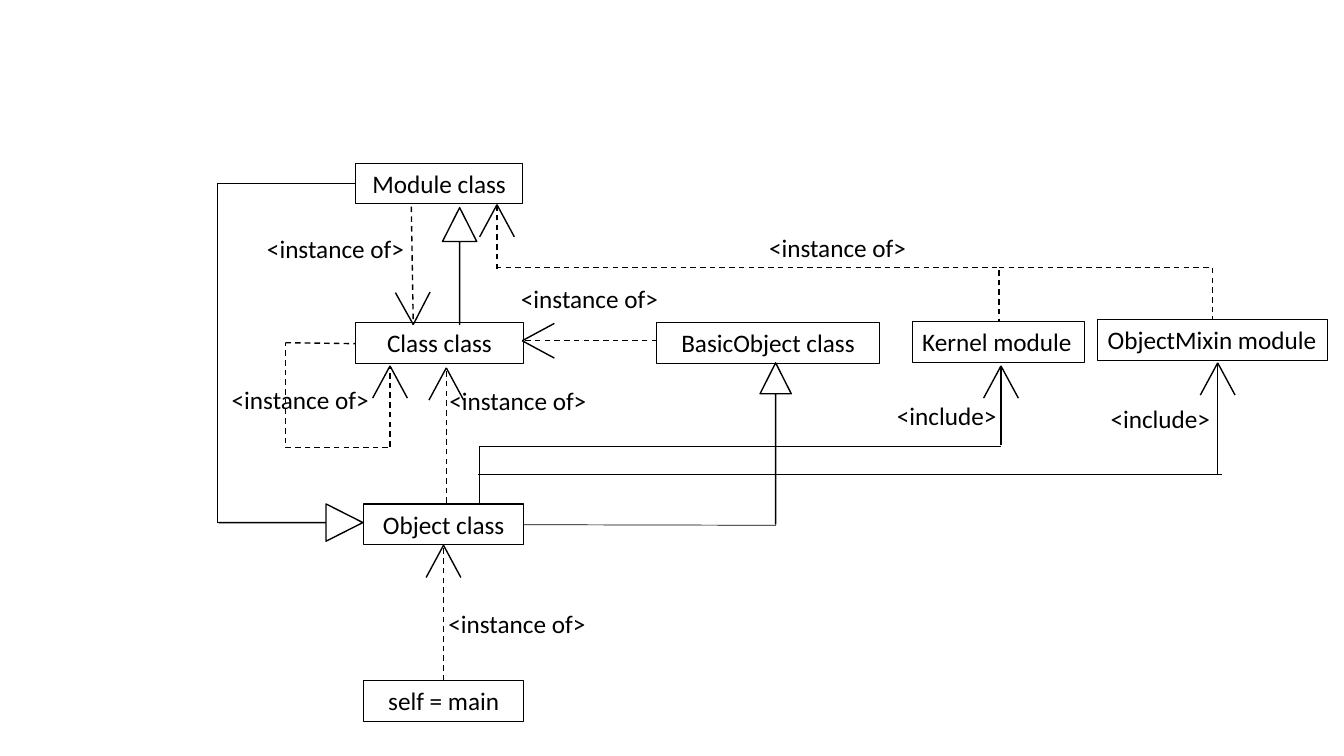
import math

import pptx
import pptx.dml.color
import pptx.enum.dml
import pptx.enum.shapes
import pptx.enum.text
import pptx.oxml.ns
import pptx.util
from lxml import etree

Pt = pptx.util.Pt
SHAPE = pptx.enum.shapes.MSO_SHAPE
CONNECTOR = pptx.enum.shapes.MSO_CONNECTOR
ALIGN = pptx.enum.text.PP_ALIGN
BLACK = pptx.dml.color.RGBColor(0, 0, 0)
WHITE = pptx.dml.color.RGBColor(255, 255, 255)

BOX_HEIGHT = 29.1
HEAD_LENGTH, HEAD_HALF_WIDTH = 23, 12.4


def write(shape, text, align, wrap):
    """Fill a shape with one 18 pt line of text."""
    frame = shape.text_frame
    frame.word_wrap = wrap
    frame.auto_size = pptx.enum.text.MSO_AUTO_SIZE.SHAPE_TO_FIT_TEXT
    frame.vertical_anchor = pptx.enum.text.MSO_ANCHOR.TOP
    paragraph = frame.paragraphs[0]
    paragraph.alignment = align
    run = paragraph.add_run()
    run.text = text
    run.font.name = "Calibri"
    run.font.size = Pt(18)
    run.font.color.rgb = BLACK


def outline(shape, width):
    shape.shadow.inherit = False
    shape.line.color.rgb = BLACK
    shape.line.width = Pt(width)


def class_box(slide, text, left, top, width, align=ALIGN.CENTER):
    box = slide.shapes.add_shape(
        SHAPE.RECTANGLE, Pt(left), Pt(top), Pt(width), Pt(BOX_HEIGHT))
    box.fill.background()
    outline(box, 0.75)
    write(box, text, align, True)


def label(slide, text, left, top, width):
    box = slide.shapes.add_textbox(Pt(left), Pt(top), Pt(width), Pt(BOX_HEIGHT))
    write(box, text, ALIGN.LEFT, False)


def inheritance(slide, left, top, width, height, rotation=0):
    """Hollow triangle on a shaft without thickness."""
    arrow = slide.shapes.add_shape(
        SHAPE.UP_ARROW, Pt(left), Pt(top), Pt(width), Pt(height))
    arrow.adjustments[0] = 0
    arrow.adjustments[1] = 0.99
    arrow.rotation = rotation
    arrow.fill.solid()
    arrow.fill.fore_color.rgb = WHITE
    outline(arrow, 1)


def line(slide, start, end, dashed=False, width=1, kind=CONNECTOR.STRAIGHT):
    connector = slide.shapes.add_connector(kind, *map(Pt, (*start, *end)))
    connector.line.color.rgb = BLACK
    connector.line.width = Pt(width)
    if dashed:
        connector.line.dash_style = pptx.enum.dml.MSO_LINE.DASH
    properties = connector._element.spPr
    etree.SubElement(properties, pptx.oxml.ns.qn("a:effectLst"))
    return connector


def corner(slide, start, end, dashed=False):
    """One bend: horizontal from start, then vertical to end."""
    connector = line(slide, start, end, dashed, kind=CONNECTOR.ELBOW)
    geometry = connector._element.spPr.find(pptx.oxml.ns.qn("a:prstGeom"))
    geometry.set("prst", "bentConnector2")


def open_arrow(slide, start, tip, dashed=True):
    """Shaft with two solid strokes that meet at the tip."""
    line(slide, start, tip, dashed)
    length = math.dist(start, tip)
    dx, dy = (tip[0] - start[0]) / length, (tip[1] - start[1]) / length
    for side in (-HEAD_HALF_WIDTH, HEAD_HALF_WIDTH):
        wing = (tip[0] - HEAD_LENGTH * dx - side * dy,
                tip[1] - HEAD_LENGTH * dy + side * dx)
        line(slide, wing, tip)


def main():
    deck = pptx.Presentation()
    deck.slide_width, deck.slide_height = Pt(960), Pt(540)
    slide = deck.slides.add_slide(deck.slide_layouts[6])

    # Classes, modules and the main object
    class_box(slide, "self = main", 260, 486, 114)
    class_box(slide, "Object class", 260, 360, 114)
    class_box(slide, "BasicObject class", 468.7, 230.4, 159.8)
    class_box(slide, "Kernel module", 651.6, 229.7, 123.1, ALIGN.LEFT)
    class_box(slide, "ObjectMixin module", 784.1, 228.2, 164.2, ALIGN.LEFT)
    class_box(slide, "Module class", 254.2, 116.6, 119)
    class_box(slide, "Class class", 254.2, 230.4, 119.5)

    # Inheritance: Object to BasicObject, Class to Module, Module to Object
    inheritance(slide, 542.9, 259.2, 22.3, 115.2)
    line(slide, (373.7, 374.8), (554.4, 375.2), width=0.5)
    inheritance(slide, 316.1, 148.3, 24.5, 83.5)
    inheritance(slide, 194.4, 321.8, 26.6, 103, rotation=90)
    corner(slide, (254.2, 131), (155.5, 373.7))

    # Instance-of arrows
    for start, tip in (
        ((316.8, 486), (316.8, 389.5)),      # self to Object
        ((318.8, 359.3), (318.8, 262.8)),    # Object to Class
        ((469.4, 243.4), (373, 243.4)),      # BasicObject to Class
        ((278.6, 319), (278.6, 261.4)),      # Class to itself
        ((293.8, 147.6), (295.2, 231.8)),    # Module to Class
        ((355, 192.2), (355, 146.2)),        # modules to Module
    ):
        open_arrow(slide, start, tip)
    line(slide, (203.8, 244.8), (254.2, 245.5), dashed=True)
    corner(slide, (277.2, 319.7), (203.8, 244.8), dashed=True)
    corner(slide, (354.2, 191), (713.5, 229.7), dashed=True)
    corner(slide, (713.5, 191.2), (866.2, 228.2), dashed=True)

    # Include arrows from Object to both modules
    open_arrow(slide, (715, 318.2), (715, 261.4), dashed=False)
    open_arrow(slide, (869.8, 339.1), (869.8, 259.2), dashed=False)
    corner(slide, (715, 319), (342.4, 359.6))
    line(slide, (872.6, 339.1), (341.3, 339.1))

    # Relation labels
    for left, top in ((542.2, 162.7), (313.2, 430.6), (313.9, 271.4),
                      (365, 198.7), (158.4, 270.7), (183.6, 163.4)):
        label(slide, "<instance of>", left, top, 113.8)
    for left, top in ((786.2, 284.4), (633.6, 282.2)):
        label(slide, "<include>", left, top, 86.4)

    deck.save("out.pptx")


main()
